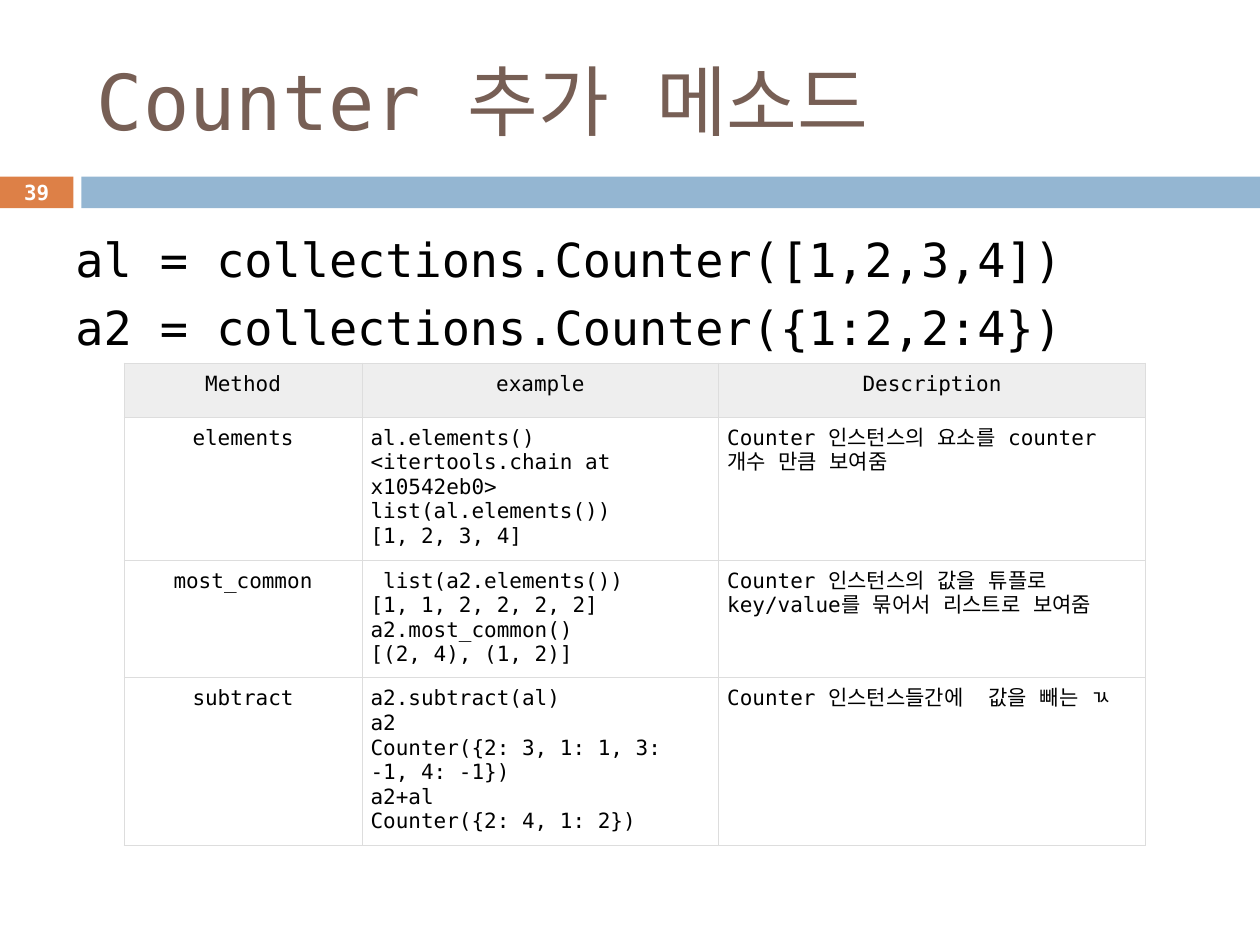
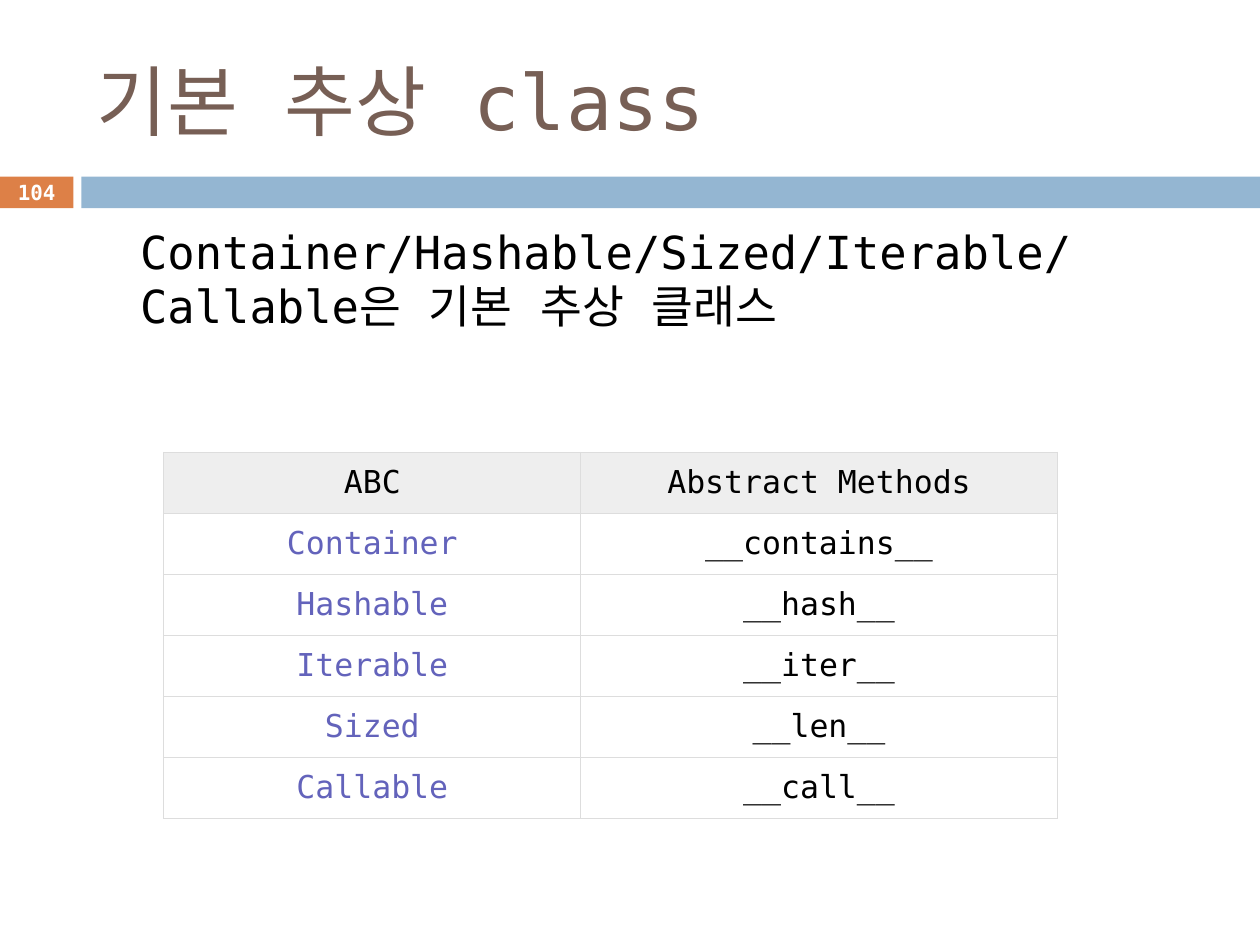
from dataclasses import dataclass

from lxml import etree
from pptx import Presentation
from pptx.dml.color import RGBColor
from pptx.enum.shapes import MSO_SHAPE
from pptx.enum.text import MSO_ANCHOR, PP_ALIGN
from pptx.oxml.ns import qn
from pptx.util import Cm, Pt

RECTANGLE = MSO_SHAPE.RECTANGLE
LEFT, CENTER = PP_ALIGN.LEFT, PP_ALIGN.CENTER
TOP, MIDDLE = MSO_ANCHOR.TOP, MSO_ANCHOR.MIDDLE


@dataclass(frozen=True)
class Theme:
    font: str = "DejaVu Sans Mono"
    text: str = "000000"
    title: str = "775F55"
    accent: str = "DD8047"
    band: str = "94B6D2"
    white: str = "FFFFFF"
    header: str = "EEEEEE"
    border: str = "DDDDDD"
    keyword: str = "6363BB"
    title_size: float = 44
    code_size: float = 26.8
    body_size: float = 26
    number_size: float = 11.9
    method_size: float = 12
    class_size: float = 18
    border_width: float = 0.6


THEME = Theme()
SLIDE_WIDTH, SLIDE_HEIGHT = 25.4, 19.05
BAND_TOP, BAND_HEIGHT = 3.56, 0.64
NUMBER_WIDTH, BAND_LEFT = 1.48, 1.64

METHODS = [
    ("Method", "example", "Description"),
    ("elements",
     "al.elements()\n<itertools.chain at x10542eb0>\nlist(al.elements())\n[1, 2, 3, 4]",
     "Counter 인스턴스의 요소를 counter 개수 만큼 보여줌"),
    ("most_common",
     " list(a2.elements())\n[1, 1, 2, 2, 2, 2]\na2.most_common()\n[(2, 4), (1, 2)]",
     "Counter 인스턴스의 값을 튜플로 key/value를 묶어서 리스트로 보여줌"),
    ("subtract",
     "a2.subtract(al)\na2\nCounter({2: 3, 1: 1, 3: -1, 4: -1})\na2+al\nCounter({2: 4, 1: 2})",
     "Counter 인스턴스들간에  값을 빼는 ㄳ"),
]
ABSTRACT_CLASSES = [
    ("ABC", "Abstract Methods"),
    ("Container", "__contains__"),
    ("Hashable", "__hash__"),
    ("Iterable", "__iter__"),
    ("Sized", "__len__"),
    ("Callable", "__call__"),
]


def apply_format(target, values):
    for name, value in values.items():
        setattr(target, name, value)


def write_text(text_frame, text, size, color=THEME.text, bold=False, **paragraph_format):
    """Write one paragraph for each line of the text."""
    for index, line in enumerate(text.split("\n")):
        paragraph = text_frame.paragraphs[0] if index == 0 else text_frame.add_paragraph()
        apply_format(paragraph, paragraph_format)
        run = paragraph.add_run()
        run.text = line
        apply_format(run.font, {"name": THEME.font, "size": Pt(size), "bold": bold})
        run.font.color.rgb = RGBColor.from_string(color)
        etree.SubElement(run.font._element, qn("a:ea"), typeface=THEME.font)


def add_text(slide, box, text, size, anchor=TOP, **text_format):
    shape = slide.shapes.add_textbox(*map(Cm, box))
    apply_format(shape.text_frame, {"word_wrap": True, "vertical_anchor": anchor})
    write_text(shape.text_frame, text, size, **text_format)
    return shape


def add_band(slide, left, width, color):
    band = slide.shapes.add_shape(
        RECTANGLE, Cm(left), Cm(BAND_TOP), Cm(width), Cm(BAND_HEIGHT))
    band.shadow.inherit = False
    band.fill.solid()
    band.fill.fore_color.rgb = RGBColor.from_string(color)
    band.line.fill.background()


def add_titled_slide(presentation, title, number):
    slide = presentation.slides.add_slide(presentation.slide_layouts[6])
    add_band(slide, 0, NUMBER_WIDTH, THEME.accent)
    add_band(slide, BAND_LEFT, SLIDE_WIDTH - BAND_LEFT, THEME.band)
    add_text(slide, (1.7, 0.64, 22.65, 2.74), title, THEME.title_size,
             anchor=MIDDLE, color=THEME.title)
    add_text(slide, (0, 3.54, NUMBER_WIDTH, 0.68), str(number), THEME.number_size,
             anchor=MIDDLE, color=THEME.white, bold=True, alignment=CENTER)
    return slide


def add_cell_borders(cell):
    properties = cell._tc.get_or_add_tcPr()
    for index, side in enumerate(("a:lnL", "a:lnR", "a:lnT", "a:lnB")):
        line = etree.Element(qn(side), w=str(int(Pt(THEME.border_width))))
        fill = etree.SubElement(line, qn("a:solidFill"))
        etree.SubElement(fill, qn("a:srgbClr"), val=THEME.border)
        properties.insert(index, line)


def add_grid(slide, left, top, widths, heights, rows, size, margins, anchor=TOP,
             left_columns=(), keyword_columns=()):
    """Draw a bordered table whose first row is the shaded header."""
    table = slide.shapes.add_table(
        len(rows), len(widths), Cm(left), Cm(top), Cm(sum(widths)), Cm(sum(heights))).table
    apply_format(table, {"first_row": False, "horz_banding": False})
    for column, width in zip(table.columns, widths):
        column.width = Cm(width)
    for row, height in zip(table.rows, heights):
        row.height = Cm(height)

    horizontal, vertical = map(Cm, margins)
    cell_format = {
        "margin_left": horizontal, "margin_right": horizontal,
        "margin_top": vertical, "margin_bottom": vertical,
        "vertical_anchor": anchor,
    }
    for row_index, row in enumerate(rows):
        is_header = row_index == 0
        for column_index, text in enumerate(row):
            cell = table.cell(row_index, column_index)
            apply_format(cell, cell_format)
            cell.fill.solid()
            cell.fill.fore_color.rgb = RGBColor.from_string(
                THEME.header if is_header else THEME.white)
            add_cell_borders(cell)
            is_left = column_index in left_columns and not is_header
            is_keyword = column_index in keyword_columns and not is_header
            write_text(cell.text_frame, text, size,
                       color=THEME.keyword if is_keyword else THEME.text,
                       alignment=LEFT if is_left else CENTER)


def add_counter_slide(presentation):
    slide = add_titled_slide(presentation, "Counter 추가 메소드", 39)
    add_text(slide, (1.27, 4.52, 22.86, 2.59),
             "al = collections.Counter([1,2,3,4])\na2 = collections.Counter({1:2,2:4})",
             THEME.code_size, space_before=Pt(7))
    add_grid(slide, 2.5, 7.32, (4.8, 7.19, 8.6), (1.09, 2.82, 2.32, 3.31), METHODS,
             THEME.method_size, margins=(0.17, 0.17), left_columns=(1, 2))


def add_abstract_class_slide(presentation):
    slide = add_titled_slide(presentation, "기본 추상 class", 104)
    body = add_text(slide, (1.3, 4.39, 22.86, 3.94),
                    "Container/Hashable/Sized/Iterable/Callable은 기본 추상 클래스",
                    THEME.body_size, space_before=Pt(5.5))
    body.text_frame.margin_left += Cm(1.27)
    add_grid(slide, 3.3, 9.12, (8.41, 9.6), [1.23] * len(ABSTRACT_CLASSES),
             ABSTRACT_CLASSES, THEME.class_size, margins=(0.08, 0.03),
             anchor=MIDDLE, keyword_columns=(0,))


def main():
    presentation = Presentation()
    apply_format(presentation, {
        "slide_width": Cm(SLIDE_WIDTH), "slide_height": Cm(SLIDE_HEIGHT)})
    add_counter_slide(presentation)
    add_abstract_class_slide(presentation)
    presentation.save("out.pptx")


if __name__ == "__main__":
    main()
